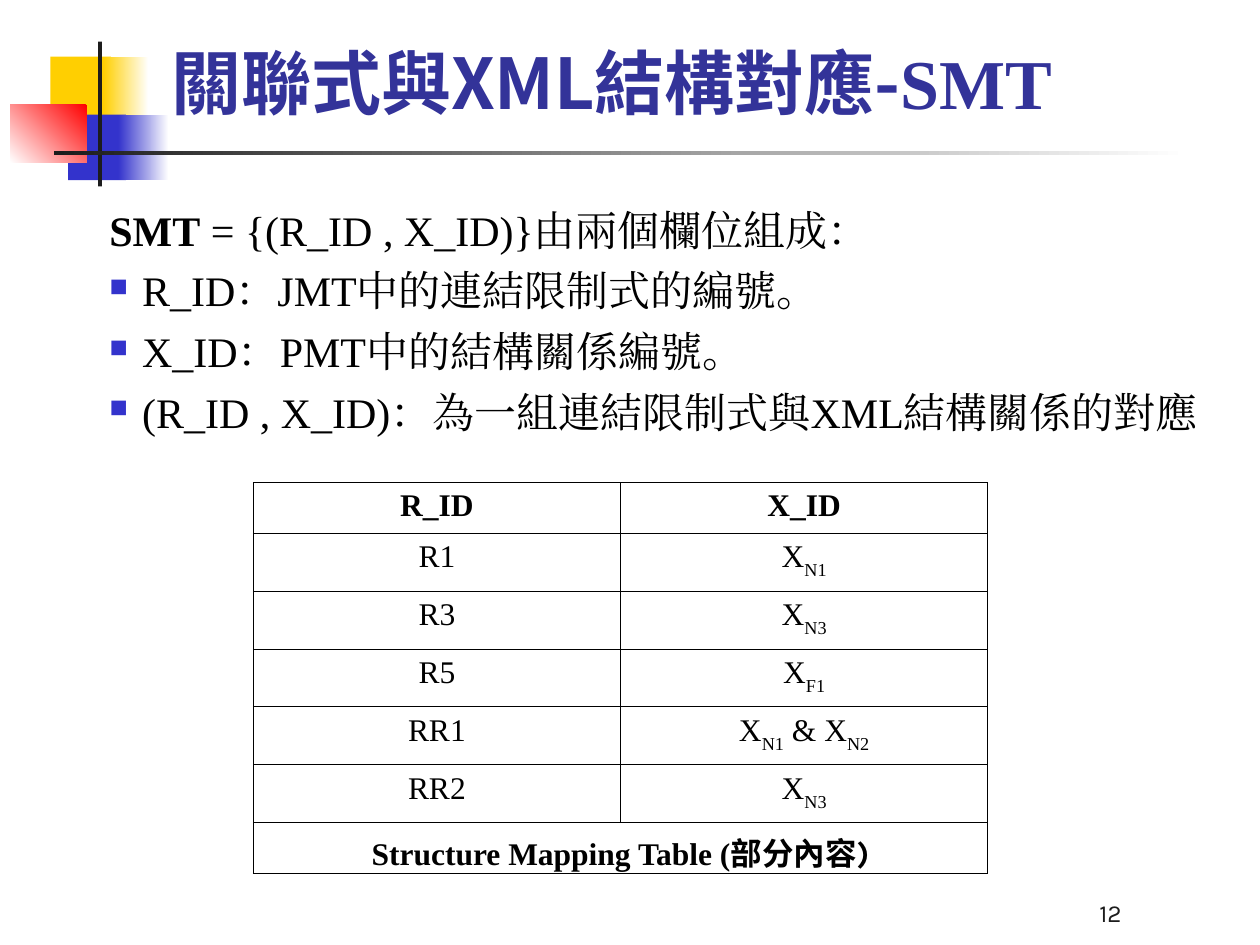
from lxml.etree import SubElement
from pptx import Presentation
from pptx.dml.color import RGBColor
from pptx.enum.shapes import MSO_SHAPE as Shape
from pptx.enum.text import MSO_ANCHOR as Anchor, MSO_AUTO_SIZE as AutoSize, PP_ALIGN as Align
from pptx.oxml.ns import qn
from pptx.util import Inches, Pt

SERIF, SANS, NUMBER = "Times New Roman", "Noto Sans CJK SC", "Karla"
GOLD, BLUE, RED, WHITE, DARK = "FFCF01", "3333CC", "FF0000", "FFFFFF", "1C1C1C"


def color(value):
    """Turn a hex string into a colour."""
    return RGBColor.from_string(value)


def inches(box):
    """Turn left, top, width and height into lengths."""
    return [Inches(value) for value in box]


class SlideWriter:
    """Hold the text style and the slide being written."""

    def __init__(self, slide, ink="000000"):
        """Keep the slide and the default ink."""
        self.slide = slide
        self.ink = ink

    def run(self, paragraph, text, size, font=SERIF, bold=False, ink=None, subscript=False):
        """Append one formatted run."""
        run = paragraph.add_run()
        run.text = text
        run.font.size, run.font.bold, run.font.name = Pt(size), bold, font
        run.font.color.rgb = color(ink or self.ink)
        properties = run.font._element
        SubElement(properties, qn("a:ea")).set("typeface", font)
        if subscript:
            properties.set("baseline", "-30000")

    def block(self, box, fill, end=None, angle=180):
        """Draw a plain or gradient rectangle."""
        block = self.slide.shapes.add_shape(Shape.RECTANGLE, *inches(box))
        block.shadow.inherit = False
        block.line.fill.background()
        if end is None:
            block.fill.solid()
            block.fill.fore_color.rgb = color(fill)
            return
        block.fill.gradient()
        block.fill.gradient_angle = angle
        for stop, shade in zip(block.fill.gradient_stops, (fill, end)):
            stop.color.rgb = color(shade)

    def title(self, box, parts, size, ink):
        """Place the title and write its parts."""
        title = self.slide.shapes.title
        title.left, title.top, title.width, title.height = inches(box)
        frame = title.text_frame
        frame.auto_size, frame.vertical_anchor = AutoSize.NONE, Anchor.BOTTOM
        paragraph = frame.paragraphs[0]
        paragraph.alignment = Align.LEFT
        for text, font in parts:
            self.run(paragraph, text, size, font, True, ink)

    def text_box(self, box, anchor=Anchor.TOP):
        """Add a wrapping text box and return its frame."""
        frame = self.slide.shapes.add_textbox(*inches(box)).text_frame
        frame.word_wrap, frame.vertical_anchor = True, anchor
        return frame

    def body(self, box, lead, bullets, size):
        """Write a lead line followed by bulleted lines."""
        frame = self.text_box(box)
        lines = [lead] + [[(text, False)] for text in bullets]
        for index, parts in enumerate(lines):
            paragraph = frame.add_paragraph() if index else frame.paragraphs[0]
            properties = paragraph._p.get_or_add_pPr()
            properties.set("marL", str(Inches(0.28)))
            properties.set("indent", str(Inches(-0.26)))
            if index:
                paragraph.space_before = Pt(6)
                tint = SubElement(properties, qn("a:buClr"))
                SubElement(tint, qn("a:srgbClr")).set("val", BLUE)
                SubElement(properties, qn("a:buSzPct")).set("val", "60000")
                SubElement(properties, qn("a:buChar")).set("char", "■")
            for text, bold in parts:
                self.run(paragraph, text, size, bold=bold)

    def border(self, cell, width=0.45):
        """Outline all sides of a cell."""
        properties = cell._tc.get_or_add_tcPr()
        for side in ("lnL", "lnR", "lnT", "lnB"):
            line = SubElement(properties, qn(f"a:{side}"), w=str(Pt(width)))
            fill = SubElement(line, qn("a:solidFill"))
            SubElement(fill, qn("a:srgbClr")).set("val", self.ink)

    def table(self, box, heights, header, rows, caption, size):
        """Build the mapping table with a merged caption row."""
        table = self.slide.shapes.add_table(len(heights), len(header), *inches(box)).table
        table.first_row = table.horz_banding = False
        for row, height in zip(table.rows, heights):
            row.height = Inches(height)
        for cell in table.iter_cells():
            self.border(cell)
            cell.fill.background()
            cell.text_frame.paragraphs[0].alignment = Align.CENTER
        for row_index, row in enumerate([header, *rows]):
            for column, text in enumerate(row):
                paragraph = table.cell(row_index, column).text_frame.paragraphs[0]
                for index, part in enumerate(text.split("|")):
                    if part:
                        self.run(paragraph, part, size, bold=row_index == 0, subscript=index % 2 == 1)
        last = len(heights) - 1
        table.cell(last, 0).merge(table.cell(last, len(header) - 1))
        for text, font in caption:
            self.run(table.cell(last, 0).text_frame.paragraphs[0], text, size, font, True)

    def page_number(self, box, text):
        """Write the page number at the lower right."""
        paragraph = self.text_box(box, Anchor.BOTTOM).paragraphs[0]
        paragraph.alignment = Align.RIGHT
        self.run(paragraph, text, 14, NUMBER, ink=DARK)


def main():
    """Build and save the slide."""
    deck = Presentation()
    deck.slide_width, deck.slide_height = Inches(10), Inches(7.5)
    writer = SlideWriter(deck.slides.add_slide(deck.slide_layouts[5]))

    writer.block((0.4, 0.45, 0.48, 0.52), GOLD)
    writer.block((0.82, 0.45, 0.36, 0.52), WHITE, GOLD)
    writer.block((0.54, 0.91, 0.46, 0.52), BLUE)
    writer.block((0.94, 0.91, 0.4, 0.52), WHITE, BLUE)
    writer.block((0.08, 0.83, 0.61, 0.46), RED, WHITE, angle=225)
    writer.block((0.78, 0.33, 0.03, 1.15), DARK)
    writer.block((0.43, 1.2, 9, 0.03), WHITE, DARK)

    writer.title((1.26, 0.17, 8.52, 0.86),
                 [("關聯式與XML結構對應-", SANS), ("SMT", SERIF)], 40, "333399")
    writer.body((0.75, 1.57, 8.9, 3.68),
                [("SMT", True), (" = {(R_ID , X_ID)}由兩個欄位組成：", False)],
                ["R_ID：JMT中的連結限制式的編號。",
                 "X_ID：PMT中的結構關係編號。",
                 "(R_ID , X_ID)：為一組連結限制式與XML結構關係的對應"], 24)
    mappings = [("R1", "X|N1"), ("R3", "X|N3"), ("R5", "X|F1"),
                ("RR1", "X|N1| & X|N2"), ("RR2", "X|N3")]
    writer.table((2.01, 3.83, 5.83, 2.8), [0.4] + [0.46] * len(mappings) + [0.4],
                 ("R_ID", "X_ID"), mappings,
                 [("Structure Mapping Table (", SERIF), ("部分內容", SANS), (")", NUMBER)], 18)
    writer.page_number((6.92, 6.91, 2.08, 0.5), "12")
    deck.save("out.pptx")


if __name__ == "__main__":
    main()
